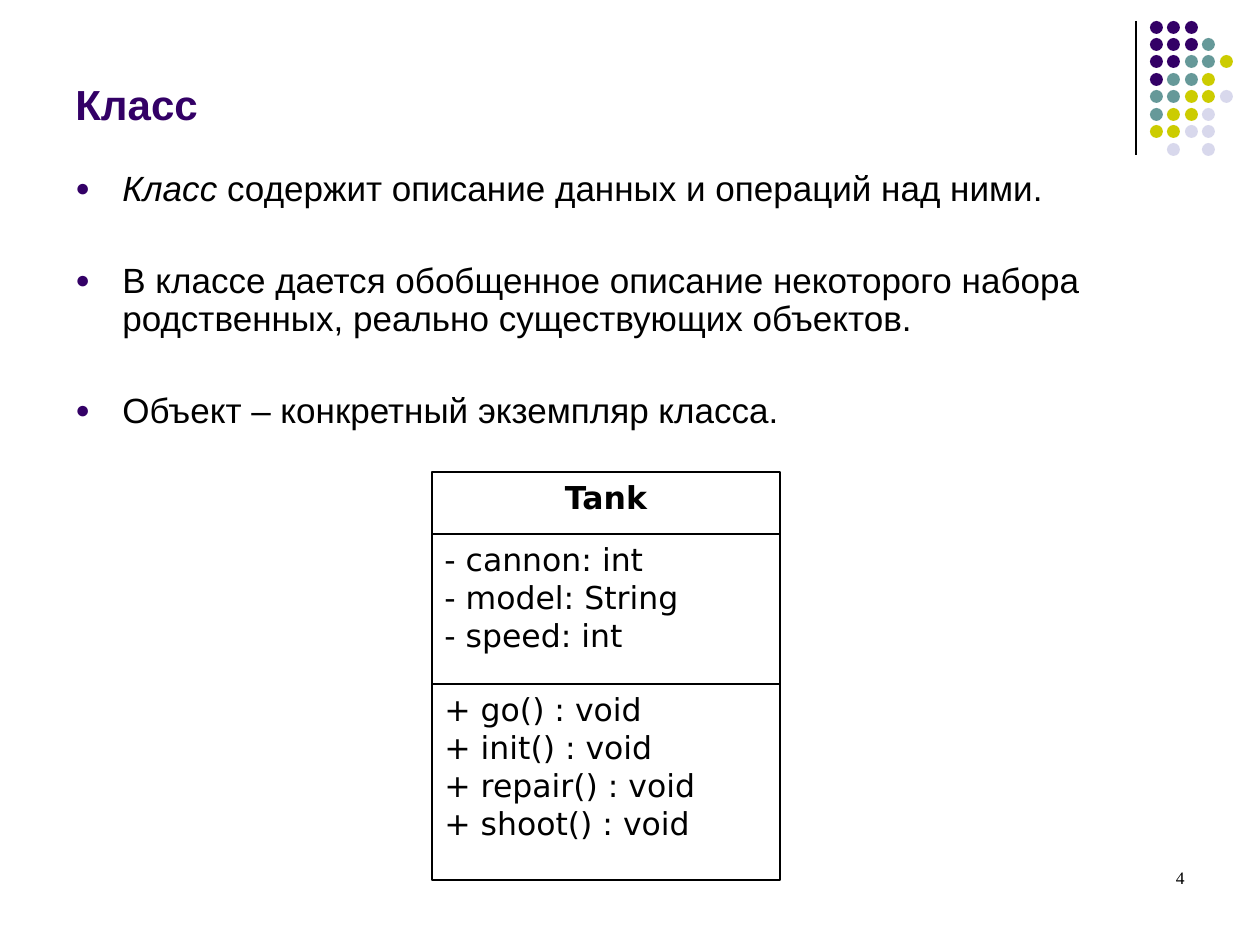
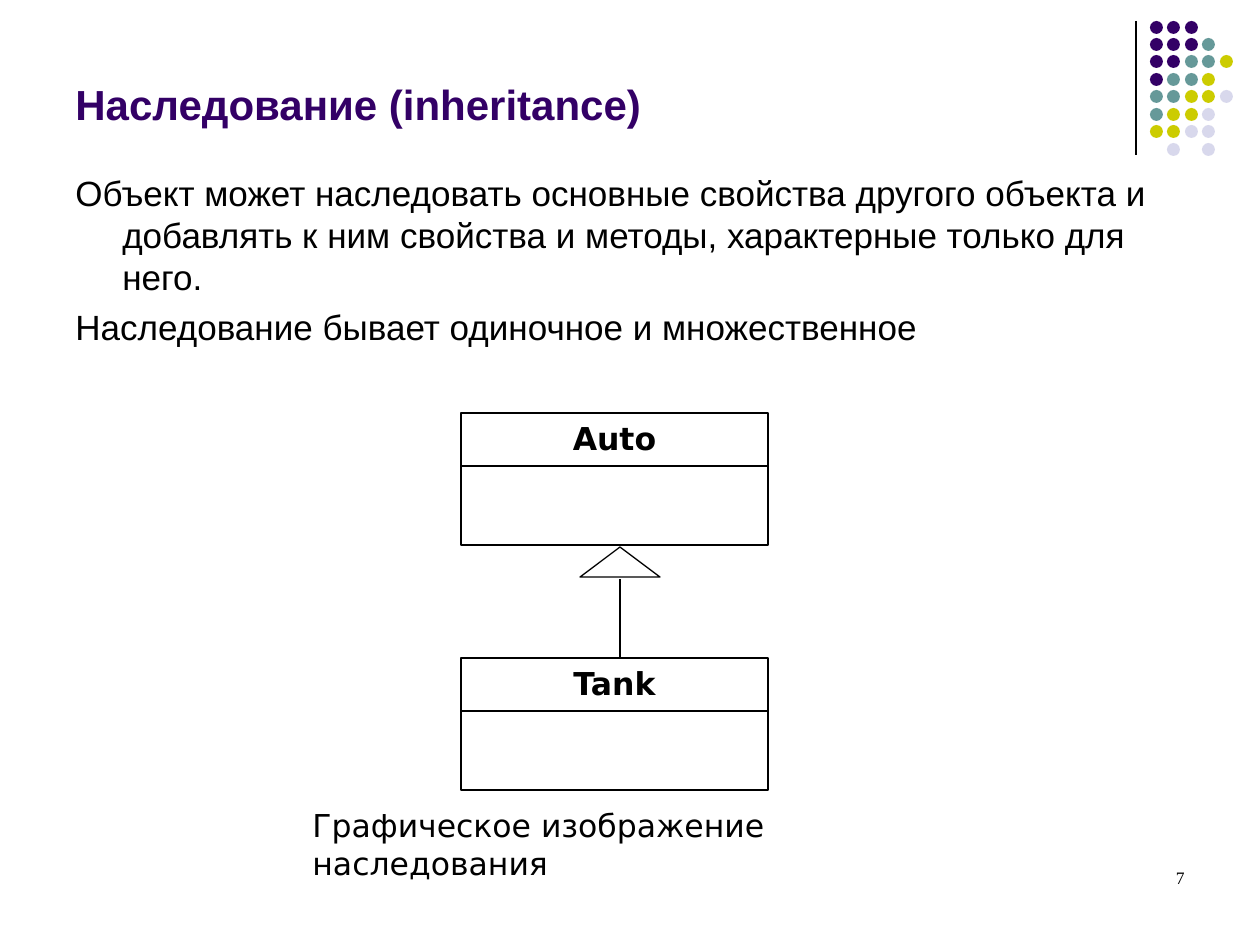
from lxml import etree
from pptx import Presentation
from pptx.dml.color import RGBColor
from pptx.enum import shapes, text
from pptx.oxml.ns import qn
from pptx.util import Pt

PX = 914400 // 126

BLACK = RGBColor(0x00, 0x00, 0x00)
WHITE = RGBColor(0xFF, 0xFF, 0xFF)
PURPLE = RGBColor(0x33, 0x00, 0x66)
TEAL = RGBColor(0x66, 0x99, 0x99)
OLIVE = RGBColor(0xCC, 0xCC, 0x00)
LILAC = RGBColor(0xD8, 0xD8, 0xEC)

TITLE = dict(name="Arial", size=Pt(24), bold=True)
BODY = dict(name="Arial", size=Pt(20))
UML = dict(name="DejaVu Sans", size=Pt(18))
UML_NAME = dict(UML, bold=True)
NUMBER = dict(name="Times New Roman", size=Pt(10))

DOT_COLORS = {"P": PURPLE, "T": TEAL, "O": OLIVE, "L": LILAC}
DOT_ROWS = ["PPP", "PPPT", "PPTTO", "PTTO", "TTOOL", "TOOL", "OOLL", " L L"]
HANGING = 47


def px(*lengths):
    return [length * PX for length in lengths]


def set_all(target, values):
    for name, value in values.items():
        setattr(target, name, value)


def add_span(para, words, font, color=BLACK):
    span = para.add_run()
    span.text = words
    set_all(span.font, font)
    span.font.color.rgb = color


def fill_text(box, lines, font, color=BLACK, anchor=text.MSO_ANCHOR.TOP, **layout):
    """Write one paragraph per line; a line is a list of (words, extra font values)."""
    frame = box.text_frame
    set_all(frame, dict(word_wrap=True, vertical_anchor=anchor))
    for index, line in enumerate(lines):
        para = frame.add_paragraph() if index else frame.paragraphs[0]
        set_all(para, dict(dict(alignment=text.PP_ALIGN.LEFT), **layout))
        for words, extra in line:
            add_span(para, words, dict(font, **extra), color)
    return frame.paragraphs


def plain(*lines):
    return [[(line, {})] for line in lines]


def add_text(page, place, lines, font, **options):
    box = page.shapes.add_textbox(*px(*place))
    return fill_text(box, lines, font, **options)


def add_preset(parent, kind, place, fill=None, line_width=None):
    shape = parent.shapes.add_shape(kind, *px(*place))
    shape.shadow.inherit = False
    if fill is None:
        shape.fill.background()
    else:
        shape.fill.solid()
        shape.fill.fore_color.rgb = fill
    if line_width is None:
        shape.line.fill.background()
    else:
        shape.line.color.rgb = BLACK
        shape.line.width = Pt(line_width)
    return shape


def add_line(parent, start, end, width):
    line = parent.shapes.add_connector(
        shapes.MSO_CONNECTOR.STRAIGHT, *px(*start, *end))
    line.line.color.rgb = BLACK
    line.line.width = Pt(width)
    etree.SubElement(line._element.spPr, qn("a:effectLst"))


def add_dots(page):
    group = page.shapes.add_group_shape()
    for row, codes in enumerate(DOT_ROWS):
        for column, code in enumerate(codes):
            if code in DOT_COLORS:
                place = (1150 + column * 70 // 4, 21 + row * 122 // 7, 13, 13)
                add_preset(group, shapes.MSO_SHAPE.OVAL, place, DOT_COLORS[code])


def hang(para, bullet=False):
    """Give the paragraph a hanging indent, with a purple bullet if asked for."""
    properties = para._p.get_or_add_pPr()
    properties.set("marL", str(HANGING * PX))
    properties.set("indent", str(-HANGING * PX))
    if bullet:
        color = etree.SubElement(properties, qn("a:buClr"))
        etree.SubElement(color, qn("a:srgbClr"), val=str(PURPLE))
        etree.SubElement(properties, qn("a:buSzPct"), val="70000")
        etree.SubElement(properties, qn("a:buFont"), typeface="Arial")
        etree.SubElement(properties, qn("a:buChar"), char="●")


def add_class(group, left, top, width, heights, name, *members):
    """Stack the compartments of a UML class: its name, then its member lists."""
    for index, height in enumerate(heights):
        box = add_preset(group, shapes.MSO_SHAPE.RECTANGLE,
                         (left, top, width, height), line_width=1.5)
        if index == 0:
            fill_text(box, plain(name), UML_NAME, alignment=text.PP_ALIGN.CENTER)
        elif members:
            fill_text(box, plain(*members[index - 1]), UML)
        top += height


def add_page(deck, title, number):
    page = deck.slides.add_slide(deck.slide_layouts[6])
    add_line(page, (1136, 21), (1136, 155), 0.75)
    add_dots(page)
    add_text(page, (63, 16, 1040, 119), plain(title), TITLE, color=PURPLE,
             anchor=text.MSO_ANCHOR.BOTTOM)
    add_text(page, (903, 861, 294, 63), plain(number), NUMBER,
             alignment=text.PP_ALIGN.RIGHT)
    return page


def build_class_page(deck):
    page = add_page(deck, "Класс", "4")
    lines = [
        [("Класс ", dict(italic=True)),
         ("содержит описание данных и операций над ними.", {})],
        *plain("В классе дается обобщенное описание некоторого набора "
               "родственных, реально существующих объектов.",
               "Объект – конкретный экземпляр класса."),
    ]
    paras = add_text(page, (63, 165, 1134, 680), lines, BODY,
                     line_spacing=0.9, space_before=Pt(31))
    paras[0].space_before = Pt(5)
    for para in paras:
        hang(para, bullet=True)
    add_class(page.shapes.add_group_shape(), 432, 472, 348, (62, 150, 196), "Tank",
              ("- cannon: int", "- model: String", "- speed: int"),
              ("+ go() : void", "+ init() : void", "+ repair() : void",
               "+ shoot() : void"))


def build_inheritance_page(deck):
    page = add_page(deck, "Наследование (inheritance)", "7")
    lines = plain("Объект может наследовать основные свойства другого объекта и "
                  "добавлять к ним свойства и методы, характерные только для него.",
                  "Наследование бывает одиночное и множественное")
    for para in add_text(page, (63, 165, 1134, 233), lines, BODY, space_before=Pt(5)):
        hang(para)
    add_text(page, (300, 800, 674, 50),
             plain("Графическое изображение наследования"), UML)
    diagram = page.shapes.add_group_shape()
    for name, top in (("Tank", 658), ("Auto", 413)):
        add_class(diagram, 461, top, 307, (53, 79), name)
    add_line(diagram, (620, 658), (620, 579), 1.5)
    add_preset(diagram, shapes.MSO_SHAPE.ISOSCELES_TRIANGLE, (580, 547, 80, 30),
               WHITE, 0.75)


def main():
    deck = Presentation()
    deck.slide_width, deck.slide_height = px(1260, 945)
    build_class_page(deck)
    build_inheritance_page(deck)
    deck.save("out.pptx")


if __name__ == "__main__":
    main()
